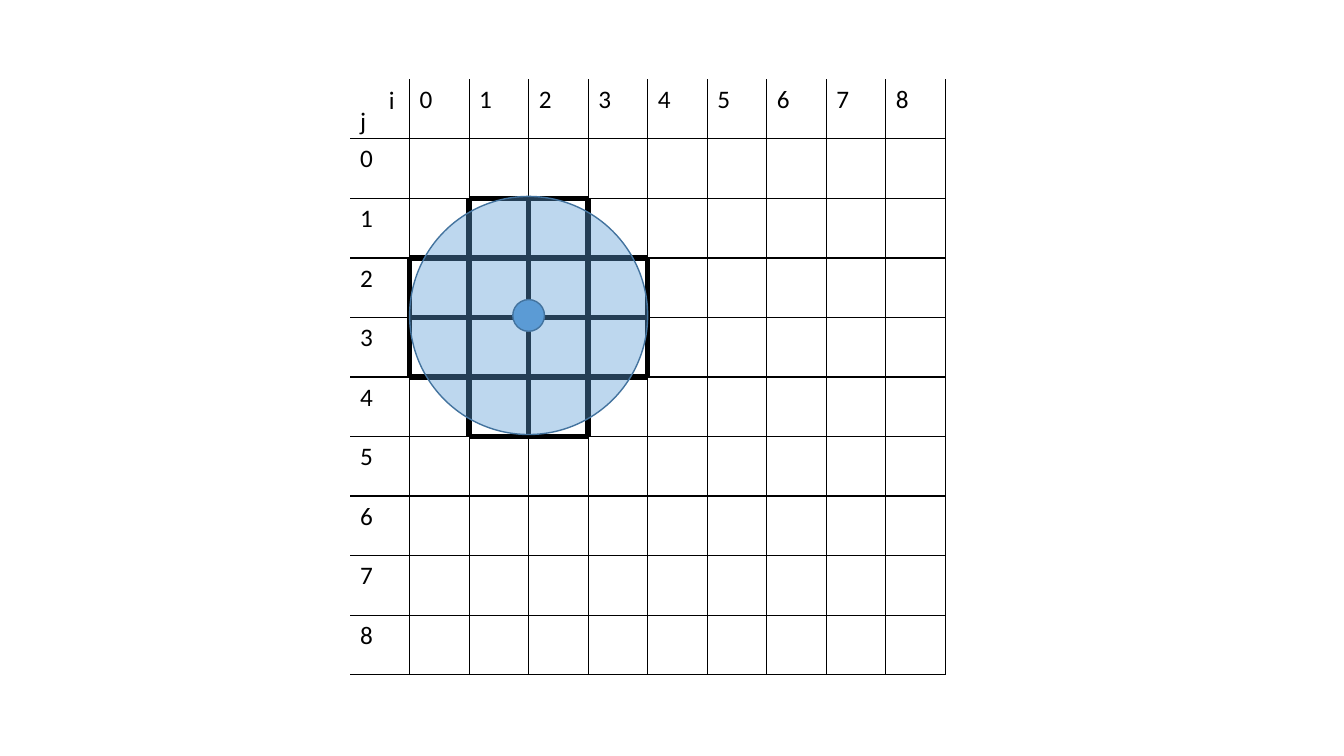
from math import hypot

from lxml import etree
from pptx import Presentation
from pptx.dml.color import RGBColor
from pptx.enum.shapes import MSO_SHAPE
from pptx.enum.text import MSO_AUTO_SIZE
from pptx.oxml.ns import qn
from pptx.util import Pt

OVAL = MSO_SHAPE.OVAL
GROW = MSO_AUTO_SIZE.SHAPE_TO_FIT_TEXT

PX = 9000  # EMU in one px
COLORS = {"ink": "000000", "disc": "5B9BD5", "rim": "43739E"}
FONT = "Calibri"

# Grid: one header row and column, then indices 0 to 8
LEFT, TOP, CELL, COUNT = 353, 80, 60, 10
MID_ROW, MID_COL, REACH = 4, 3, 2
THIN, THICK = 1, 4.5


def px(*values):
    return [value * PX for value in values]


def color(name):
    return RGBColor.from_string(COLORS[name])


def style(par):
    par.font.name = FONT
    par.font.size = Pt(18)
    par.font.color.rgb = color("ink")


def covered(row, col):
    """True if the middle of the cell lies under the disc."""
    return hypot(row + 0.5 - MID_ROW, col + 0.5 - MID_COL) < REACH


def add_border(cell, tag, width):
    props = cell._tc.get_or_add_tcPr()
    line = etree.SubElement(props, qn(tag), w=str(int(Pt(width))))
    if width:
        fill = etree.SubElement(line, qn("a:solidFill"))
        etree.SubElement(fill, qn("a:srgbClr"), val=COLORS["ink"])
    else:
        etree.SubElement(line, qn("a:noFill"))


def draw_cell(cell, row, col):
    sides = (("a:lnL", 0, -1), ("a:lnR", 0, 1),
             ("a:lnT", -1, 0), ("a:lnB", 1, 0))
    for tag, down, right in sides:
        near = row + down, col + right
        if min(near) < 0:
            width = 0
        elif covered(row, col) or covered(*near):
            width = THICK
        else:
            width = THIN
        add_border(cell, tag, width)
    cell.fill.background()
    if (row == 0) != (col == 0):
        cell.text = str(row + col - 1)
    style(cell.text_frame.paragraphs[0])


def add_grid(slide):
    side = CELL * COUNT
    table = slide.shapes.add_table(
        COUNT, COUNT, *px(LEFT, TOP, side, side)).table
    table.first_row = table.horz_banding = False
    for row in range(COUNT):
        table.rows[row].height = CELL * PX
        table.columns[row].width = CELL * PX
        for col in range(COUNT):
            draw_cell(table.cell(row, col), row, col)


def add_label(slide, text, x, y):
    frame = slide.shapes.add_textbox(*px(x, y, 26, 41)).text_frame
    frame.word_wrap = False
    frame.auto_size = GROW
    frame.text = text
    style(frame.paragraphs[0])


def add_disc(slide, radius, alpha=None):
    x = LEFT + MID_COL * CELL - radius
    y = TOP + MID_ROW * CELL - 2 - radius
    disc = slide.shapes.add_shape(
        OVAL, *px(x, y, 2 * radius, 2 * radius))
    disc.shadow.inherit = False
    disc.fill.solid()
    disc.fill.fore_color.rgb = color("disc")
    disc.line.color.rgb = color("rim")
    disc.line.width = Pt(1)
    if alpha:
        tint = disc._element.spPr.find(qn("a:solidFill"))[0]
        etree.SubElement(tint, qn("a:alpha"), val=str(alpha * 1000))


def main():
    deck = Presentation()
    deck.slide_width, deck.slide_height = px(1355, 762)
    slide = deck.slides.add_slide(deck.slide_layouts[6])

    # Grid and names of its axes
    add_grid(slide)
    add_label(slide, "i", 382, TOP)
    add_label(slide, "j", LEFT, 101)

    # Disc over the marked cells, and its centre
    add_disc(slide, REACH * CELL, alpha=40)
    add_disc(slide, 16)

    deck.save("out.pptx")


if __name__ == "__main__":
    main()
